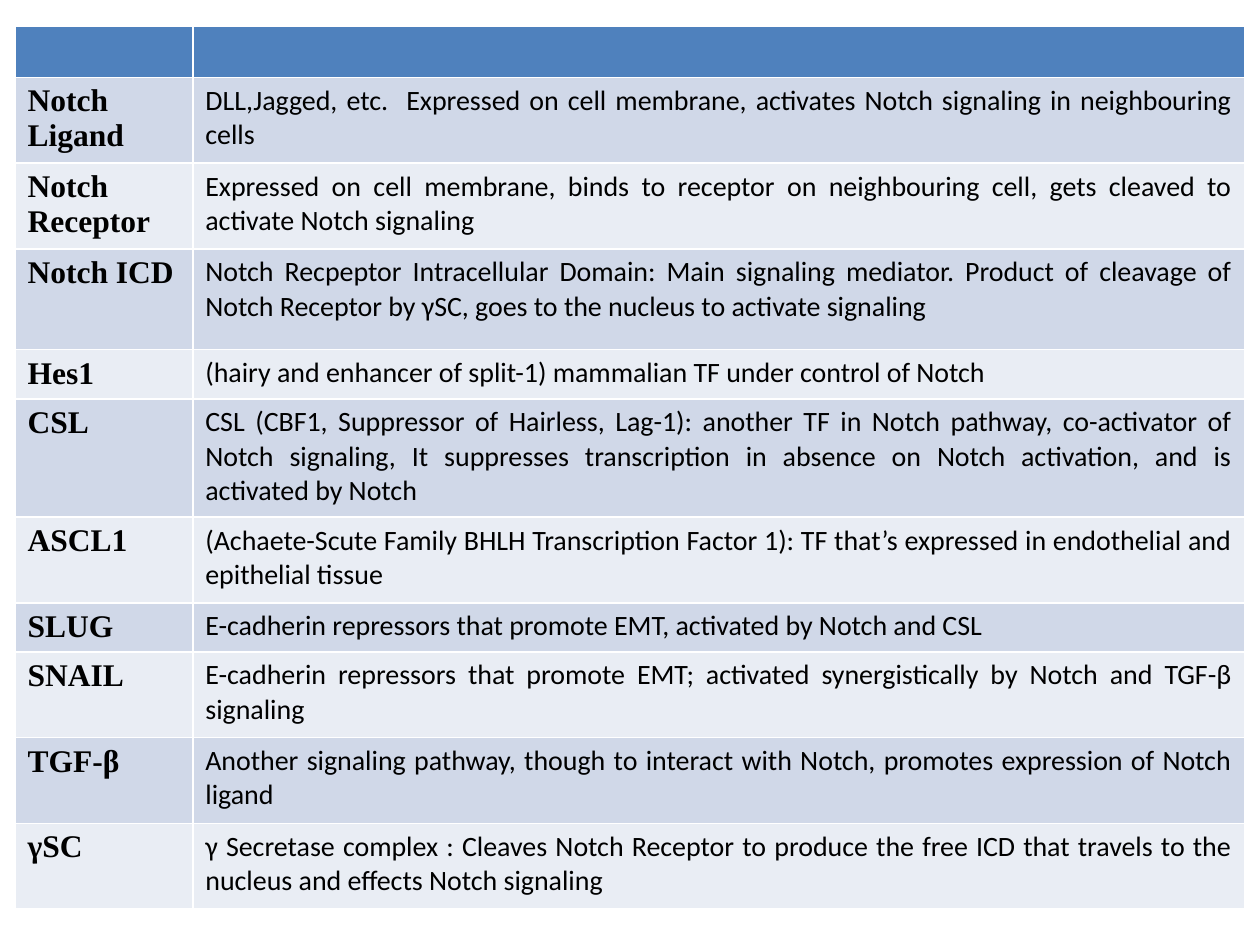
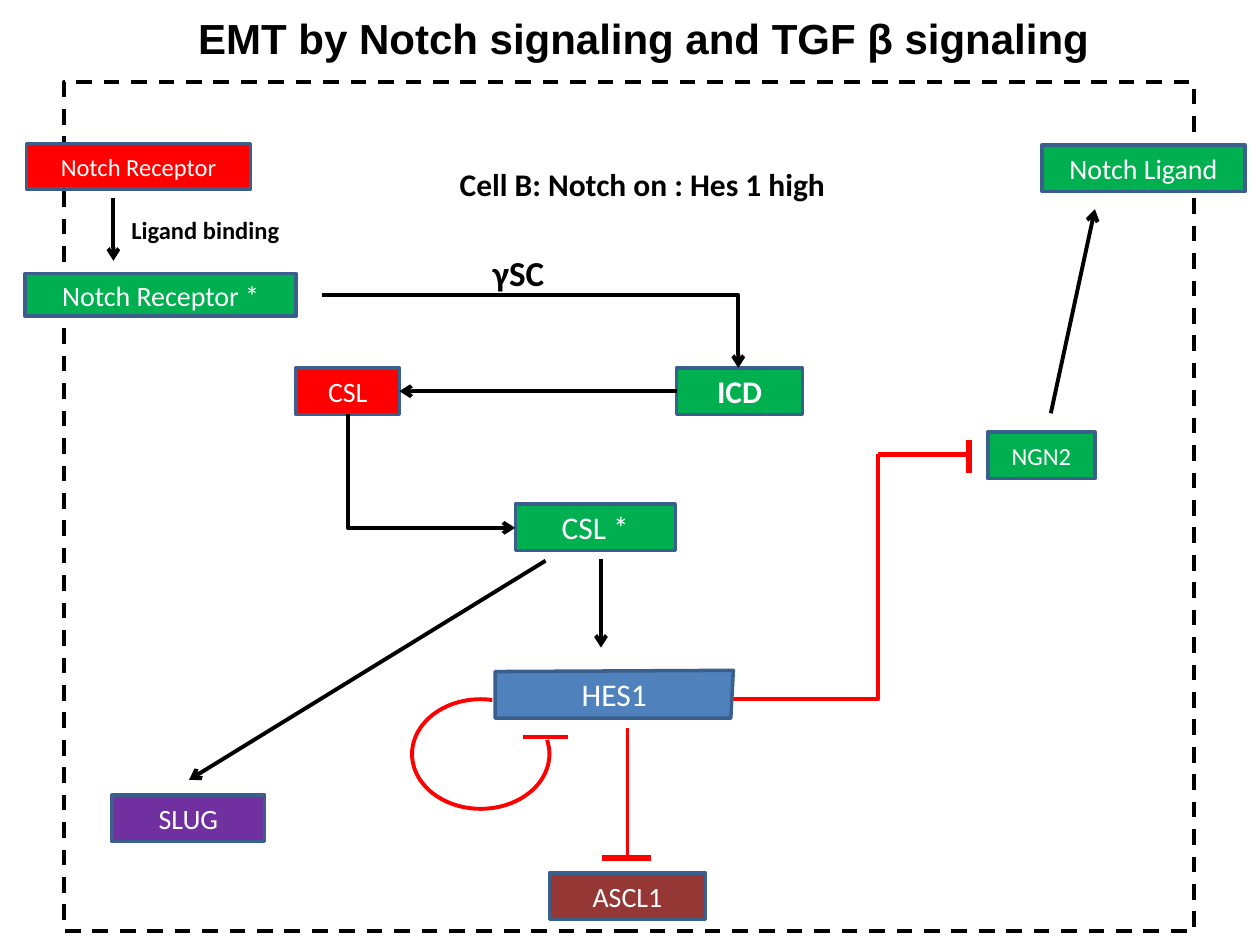
from dataclasses import dataclass

from lxml import etree
from pptx import Presentation
from pptx.dml.color import RGBColor
from pptx.enum.dml import MSO_LINE
from pptx.enum.shapes import MSO_CONNECTOR, MSO_SHAPE
from pptx.enum.text import MSO_ANCHOR, PP_ALIGN
from pptx.oxml.ns import qn
from pptx.util import Inches, Pt

RECTANGLE, ARC = MSO_SHAPE.RECTANGLE, MSO_SHAPE.ARC
STRAIGHT, ELBOW = MSO_CONNECTOR.STRAIGHT, MSO_CONNECTOR.ELBOW
DASH = MSO_LINE.DASH
TOP, MIDDLE = MSO_ANCHOR.TOP, MSO_ANCHOR.MIDDLE
LEFT, CENTER, JUSTIFY = PP_ALIGN.LEFT, PP_ALIGN.CENTER, PP_ALIGN.JUSTIFY

BLACK, WHITE, RED, GREEN = "000000", "FFFFFF", "FF0000", "00B050"
BLUE, OUTLINE, PURPLE, MAROON = "4F81BD", "3A5F8C", "7030A0", "953735"
BANDS = ("D0D8E8", "E9EDF4")
BODY_FONT, TERM_FONT, TITLE_FONT = "Calibri", "Times New Roman", "Arial"
AT_START, AT_END = "a:headEnd", "a:tailEnd"
LEFT_SIDE, RIGHT_SIDE = 1, 3


@dataclass(frozen=True)
class Term:
    name: str
    meaning: str
    height: float = 0.68


@dataclass(frozen=True)
class Node:
    """A protein box in the pathway."""
    text: str
    left: float
    top: float
    width: float
    fill: str
    size: int = 16
    bold: bool = False
    height: float = 0.37


@dataclass(frozen=True)
class Label:
    text: str
    left: float
    top: float
    width: float
    height: float
    size: int
    align: PP_ALIGN = CENTER


@dataclass(frozen=True)
class Link:
    """A line; an elbow runs sideways first, then up or down."""
    start: tuple[float, float]
    end: tuple[float, float]
    color: str = BLACK
    arrow: str = ""
    elbow: bool = False
    width: float = 2.25


TERMS = (
    Term("Notch Ligand", "DLL,Jagged, etc.  Expressed on cell membrane, activates "
         "Notch signaling in neighbouring cells"),
    Term("Notch Receptor", "Expressed on cell membrane, binds to receptor on "
         "neighbouring cell, gets cleaved to activate Notch signaling"),
    Term("Notch ICD", "Notch Recpeptor Intracellular Domain: Main signaling mediator. "
         "Product of cleavage of Notch Receptor by γSC, goes to the nucleus to "
         "activate signaling", 0.8),
    Term("Hes1", "(hairy and enhancer of split-1) mammalian TF under control of Notch",
         0.39),
    Term("CSL", "CSL (CBF1, Suppressor of Hairless, Lag-1): another TF in Notch "
         "pathway, co-activator of Notch signaling, It suppresses transcription in "
         "absence on Notch activation, and is activated by Notch", 0.94),
    Term("ASCL1", "(Achaete-Scute Family BHLH Transcription Factor 1): TF that’s "
         "expressed in endothelial and epithelial tissue"),
    Term("SLUG", "E-cadherin repressors that promote EMT, activated by Notch and CSL",
         0.39),
    Term("SNAIL", "E-cadherin repressors that promote EMT; activated synergistically "
         "by Notch and TGF-β signaling"),
    Term("TGF-β", "Another signaling pathway, though to interact with Notch, promotes "
         "expression of Notch ligand"),
    Term("γSC", "γ Secretase complex : Cleaves Notch Receptor to produce the free ICD "
         "that travels to the nucleus and effects Notch signaling"),
)

ICD = Node("ICD", 5.37, 2.92, 1, GREEN, 18, True)
CSL = Node("CSL", 2.35, 2.92, 0.82, RED)
NODES = (
    Node("Notch Receptor *", 0.2, 2.17, 2.15, GREEN, height=0.34),
    Node("Notch Ligand", 8.27, 1.15, 1.61, GREEN),
    Node("ASCL1", 4.36, 6.93, 1.24, MAROON),
    Node("CSL *", 4.09, 4, 1.27, GREEN, 18),
    Node("SLUG", 0.89, 6.31, 1.21, PURPLE),
    Node("Notch Receptor", 0.21, 1.14, 1.78, RED, 14, height=0.36),
    Node("NGN2", 7.84, 3.43, 0.85, GREEN, 14),
)
LABELS = (
    Label("Cell B: Notch on : Hes 1 high", 3.55, 1.26, 3.23, 0.4, 18, LEFT),
    Label("γSC", 3.27, 1.95, 1.69, 0.43, 20),
    Label("Ligand binding", 0.58, 1.66, 2.1, 0.33, 14),
)
ACTIVATIONS = (
    Link((0.9, 1.57), (0.9, 2.07), arrow=AT_END),
    Link((2.56, 2.34), (5.86, 2.92), arrow=AT_END, elbow=True),
    Link((4.09, 4.19), (2.76, 3.29), arrow=AT_START, elbow=True),
    Link((4.77, 4.44), (4.77, 5.14), arrow=AT_END),
    Link((4.33, 4.45), (1.5, 6.19), arrow=AT_END),
    Link((8.34, 3.28), (8.69, 1.66), arrow=AT_END),
)
INHIBITIONS = (
    Link((4.98, 5.78), (4.98, 6.8), RED),
    Link((4.78, 6.81), (5.17, 6.81), RED, width=3),
    Link((4.15, 5.85), (4.51, 5.85), RED),
    Link((5.62, 5.55), (6.97, 3.6), RED, elbow=True),
    Link((6.97, 3.61), (7.69, 3.61), RED, width=3),
    Link((7.69, 3.49), (7.69, 3.75), RED, width=3),
)
HES1_CORNERS = ((3.93, 5.33), (5.82, 5.32), (5.8, 5.7), (3.93, 5.7))


def rgb(color: str) -> RGBColor:
    return RGBColor.from_string(color)


def inches(*lengths: float) -> list:
    return [Inches(length) for length in lengths]


def write(frame, text: str, size: int, color: str = BLACK, bold: bool = False,
          align: PP_ALIGN = CENTER, font: str = BODY_FONT) -> None:
    frame.text = text
    frame.word_wrap = True
    paragraph = frame.paragraphs[0]
    paragraph.alignment = align
    for run in paragraph.runs:
        run.font.name, run.font.size, run.font.bold = font, Pt(size), bold
        run.font.color.rgb = rgb(color)


def paint(shape, fill: str | None, line: str, width: float) -> None:
    shape.shadow.inherit = False
    if fill:
        shape.fill.solid()
        shape.fill.fore_color.rgb = rgb(fill)
    else:
        shape.fill.background()
    shape.line.color.rgb = rgb(line)
    shape.line.width = Pt(width)


def fill_box(shape, text: str, fill: str, size: int, bold: bool = False) -> None:
    paint(shape, fill, OUTLINE, 2)
    shape.text_frame.vertical_anchor = MIDDLE
    write(shape.text_frame, text, size, WHITE, bold)


def add_node(slide, node: Node):
    box = slide.shapes.add_shape(
        RECTANGLE, *inches(node.left, node.top, node.width, node.height))
    fill_box(box, node.text, node.fill, node.size, node.bold)
    return box


def add_label(slide, label: Label) -> None:
    box = slide.shapes.add_textbox(
        *inches(label.left, label.top, label.width, label.height))
    write(box.text_frame, label.text, label.size, bold=True, align=label.align)


def add_link(slide, link: Link):
    connector = slide.shapes.add_connector(
        ELBOW if link.elbow else STRAIGHT, *inches(*link.start, *link.end))
    connector.line.color.rgb = rgb(link.color)
    connector.line.width = Pt(link.width)
    properties = connector._element.spPr
    if link.elbow:
        properties.find(qn("a:prstGeom")).set("prst", "bentConnector2")
    if link.arrow:
        etree.SubElement(properties.find(qn("a:ln")), qn(link.arrow), type="arrow")
    etree.SubElement(properties, qn("a:effectLst"))
    return connector


def add_glossary_slide(deck) -> None:
    slide = deck.slides.add_slide(deck.slide_layouts[6])
    heights = [0.39] + [term.height for term in TERMS]
    table = slide.shapes.add_table(
        len(heights), 2, *inches(0.12, 0.21, 9.76, sum(heights))).table
    for column, width in zip(table.columns, inches(1.41, 8.35)):
        column.width = width
    for index, (row, height) in enumerate(zip(table.rows, inches(*heights))):
        row.height = height
        for cell in row.cells:
            cell.fill.solid()
            cell.fill.fore_color.rgb = rgb(BANDS[(index - 1) % 2] if index else BLUE)
    for index, term in enumerate(TERMS, start=1):
        write(table.cell(index, 0).text_frame, term.name, 18, bold=True,
              align=LEFT, font=TERM_FONT)
        write(table.cell(index, 1).text_frame, term.meaning, 16, align=JUSTIFY)


def add_pathway_slide(deck) -> None:
    slide = deck.slides.add_slide(deck.slide_layouts[5])
    title = slide.shapes.title
    title.left, title.top, title.width, title.height = inches(0.36, 0.05, 9.5, 0.49)
    title.text_frame.vertical_anchor = TOP
    write(title.text_frame, "EMT by Notch signaling and TGF β signaling", 24,
          bold=True, font=TITLE_FONT)

    cell_membrane = slide.shapes.add_shape(RECTANGLE, *inches(0.51, 0.65, 8.97, 6.74))
    paint(cell_membrane, None, BLACK, 2.25)
    cell_membrane.line.dash_style = DASH

    for node in NODES:
        add_node(slide, node)
    icd, csl = add_node(slide, ICD), add_node(slide, CSL)
    middle = ICD.top + ICD.height / 2
    icd_to_csl = add_link(slide, Link(
        (ICD.left, middle), (CSL.left + CSL.width, middle), arrow=AT_END))
    icd_to_csl.begin_connect(icd, LEFT_SIDE)
    icd_to_csl.end_connect(csl, RIGHT_SIDE)

    for link in ACTIVATIONS + INHIBITIONS:
        add_link(slide, link)

    self_inhibition = slide.shapes.add_shape(ARC, *inches(3.27, 5.55, 1.09, 0.87))
    paint(self_inhibition, None, RED, 2.25)
    for index, degrees in enumerate((348, 282)):
        self_inhibition.adjustments[index] = degrees * 0.6

    first, *others = [inches(*corner) for corner in HES1_CORNERS]
    outline = slide.shapes.build_freeform(*first)
    outline.add_line_segments(others, close=True)
    fill_box(outline.convert_to_shape(), "HES1", BLUE, 18)

    for label in LABELS:
        add_label(slide, label)


def main() -> None:
    deck = Presentation()
    deck.slide_width, deck.slide_height = inches(10, 7.5)
    add_glossary_slide(deck)
    add_pathway_slide(deck)
    deck.save("out.pptx")


if __name__ == "__main__":
    main()
